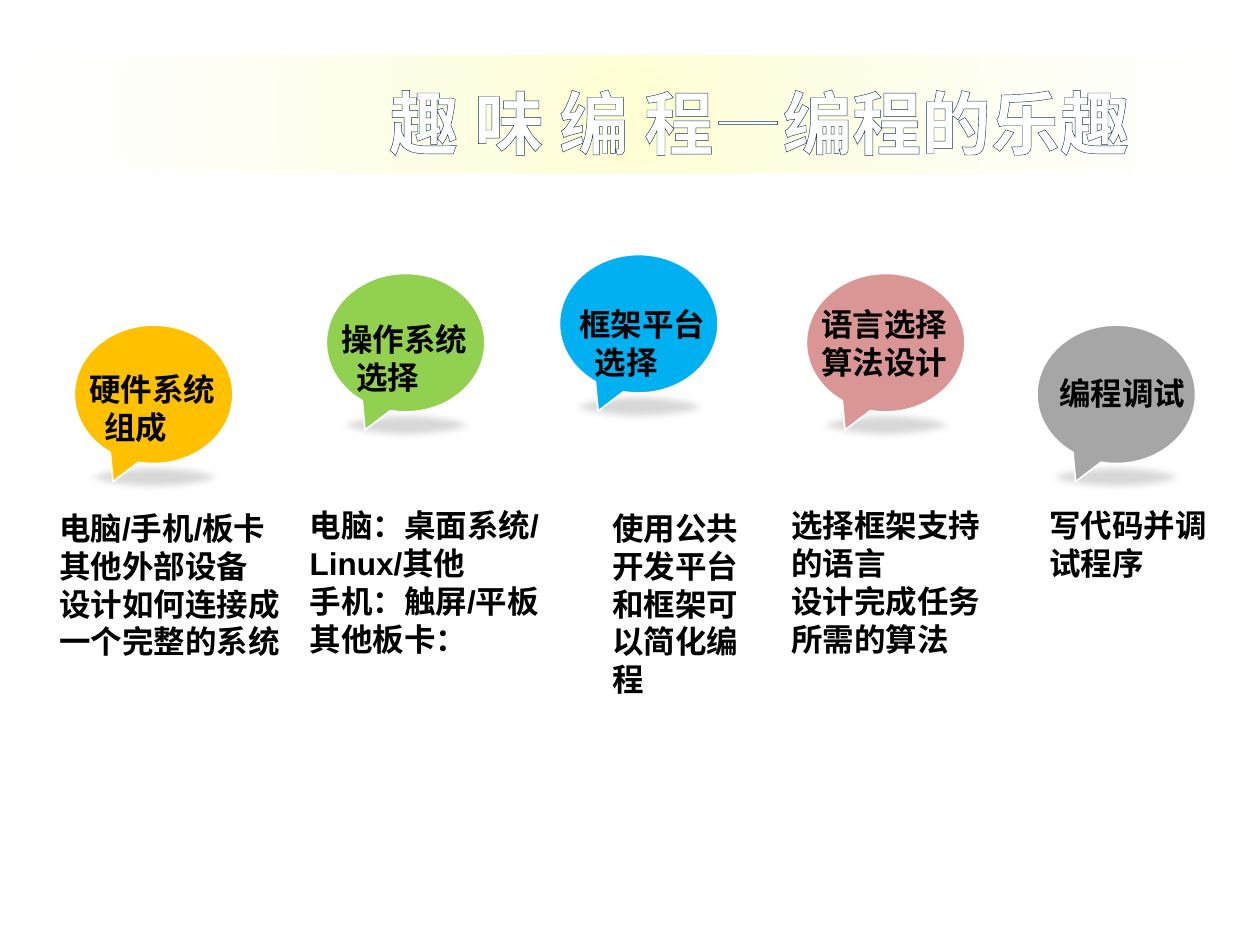
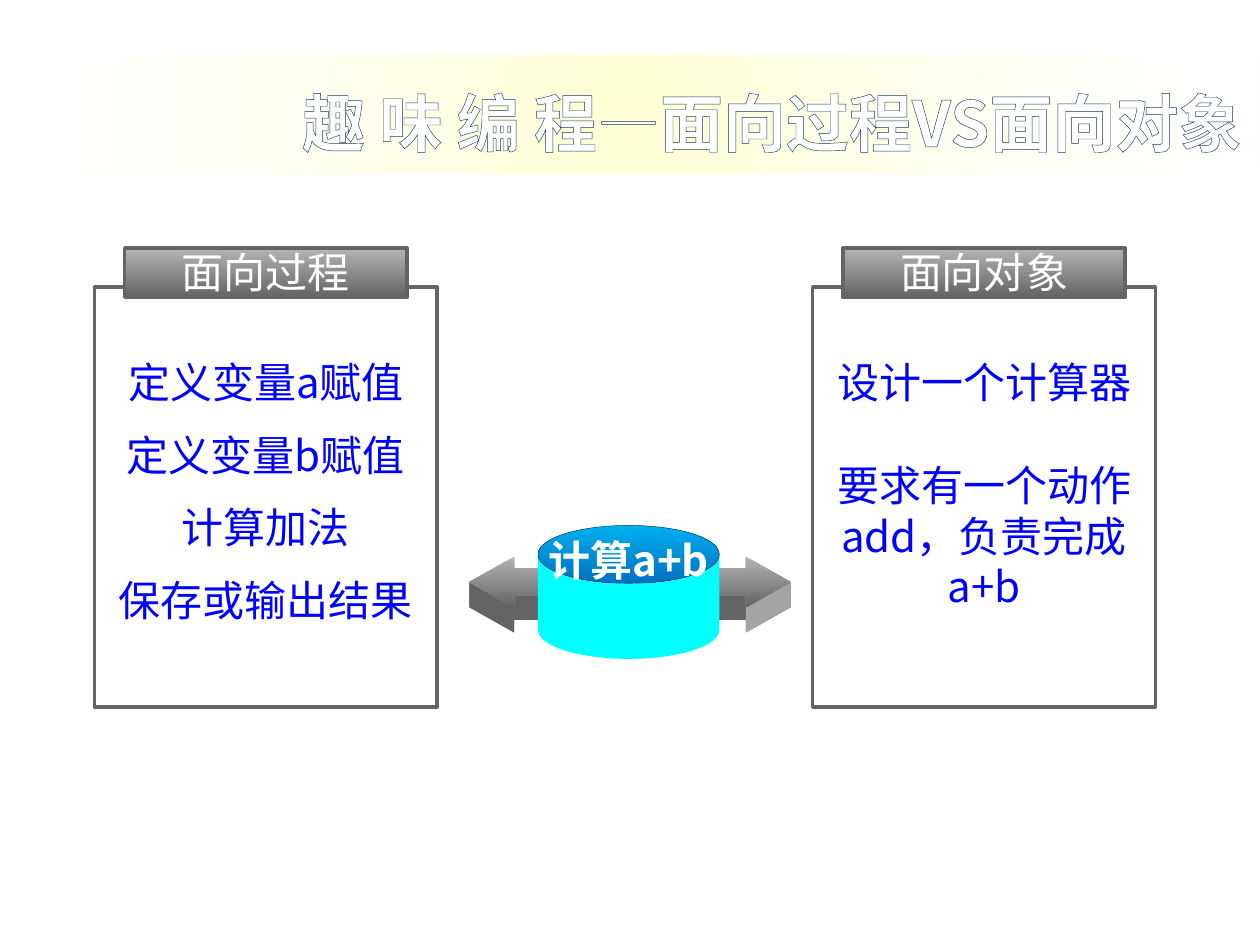
from dataclasses import dataclass

from lxml.etree import SubElement as Sub
from pptx import Presentation
from pptx.dml.color import RGBColor as Rgb
from pptx.enum.shapes import MSO_SHAPE as Kind
from pptx.enum.text import MSO_ANCHOR as Anchor, PP_ALIGN as Align
from pptx.oxml.ns import qn
from pptx.util import Inches, Pt


@dataclass(frozen=True)
class Theme:
    """Colours, fonts and type sizes of the deck."""
    white: str = "FFFFFF"
    ink: str = "000000"
    edge: str = "17375E"
    blue: str = "0000FF"
    dark: str = "646464"
    light: str = "A4A4A4"
    shade: str = "D9D9D9"
    cyan: str = "00FFFF"
    steel: tuple = (("B4B4B4", 100), ("646464", 100))
    sky: tuple = (("00B0F0", 100), ("0070C0", 100))
    glow: tuple = (("FFFFCC", 86), ("FFFFFF", 37))
    latin: str = "Arial"
    cjk: str = "Noto Sans CJK SC"
    body: float = 18
    lead: float = 24


T = Theme()
COLS, ROWS = 100, 75
CELL = Inches(0.1)


def emu(*cells):
    """Turn grid cells into lengths."""
    return [round(c * CELL) for c in cells]


def add(parent, tag, **attrs):
    """Append a drawing element."""
    return Sub(parent, qn("a:" + tag), {k: str(v) for k, v in attrs.items()})


def blend(shape, stops, round_=False):
    """Fill a shape with a vertical or circular gradient."""
    shape.fill.background()
    props = shape.fill._xPr
    grad = add(props, "gradFill", rotWithShape=1)
    props.replace(props.find(qn("a:noFill")), grad)
    marks = add(grad, "gsLst")
    for pos, (color, solid) in zip((0, 100000), stops):
        tone = add(add(marks, "gs", pos=pos), "srgbClr", val=color)
        if solid < 100:
            add(tone, "alpha", val=solid * 1000)
    if round_:
        way = add(grad, "path", path="circle")
        add(way, "fillToRect", l=50000, t=50000, r=50000, b=50000)
    else:
        add(grad, "lin", ang=5400000, scaled=0)


def paint(shape, fill=None, line=None, width=1, round_=False):
    """Set the fill and line of a shape without a shadow."""
    shape.shadow.inherit = False
    if line:
        shape.line.color.rgb = Rgb.from_string(line)
        shape.line.width = Pt(width)
    else:
        shape.line.fill.background()
    if isinstance(fill, tuple):
        blend(shape, fill, round_)
    elif fill:
        shape.fill.solid()
        shape.fill.fore_color.rgb = Rgb.from_string(fill)
    else:
        shape.fill.background()
    return shape


def draw(slide, kind, box, adj=(), **look):
    """Draw a preset shape in a box of cells."""
    shape = slide.shapes.add_shape(kind, *emu(*box))
    for i, value in enumerate(adj):
        shape.adjustments[i] = value
    return paint(shape, **look)


def trace(slide, points, **look):
    """Draw a closed outline through points in cells."""
    first, *rest = [emu(*p) for p in points]
    pen = slide.shapes.build_freeform(*first, scale=1.0)
    pen.add_line_segments(rest, close=True)
    return paint(pen.convert_to_shape(), **look)


def write(slide, box, text, size=T.body, color=T.ink, font=T.cjk, bold=False,
          align=Align.LEFT, wrap=True, anchor=Anchor.TOP, pad=1, shift=0,
          edge=None):
    """Write lines of text; later lines may shift right."""
    frame = slide.shapes.add_textbox(*emu(*box)).text_frame
    frame.word_wrap = wrap
    frame.vertical_anchor = anchor
    frame.margin_left = frame.margin_right = emu(pad)[0]
    for i, line in enumerate(text.split("\n")):
        para = frame.add_paragraph() if i else frame.paragraphs[0]
        para.alignment = align
        if i and shift:
            para._p.get_or_add_pPr().set("marL", str(emu(shift)[0]))
        run = para.add_run()
        run.text = line
        props = run._r.get_or_add_rPr()
        if edge:
            ring = add(props, "ln", w=Pt(1))
            add(add(ring, "solidFill"), "srgbClr", val=edge)
        run.font.size = Pt(size)
        run.font.bold = bold
        run.font.color.rgb = Rgb.from_string(color)
        run.font.name = font
        add(props, "ea", typeface=T.cjk)


def head(slide, text, left, width, size):
    """Draw the title band with its outlined title."""
    draw(slide, Kind.RECTANGLE, (0, 4.4, COLS, 9.4), fill=T.glow, round_=True)
    write(slide, (left, 5.4, width, 8.5), text, size=size, color=T.white,
          bold=True, align=Align.CENTER, anchor=Anchor.MIDDLE, wrap=False,
          pad=0, edge=T.edge)


def bubble(slide, x, y, color):
    """Draw a speech bubble over its soft shade."""
    wide, high = 12.6, 11
    shade = draw(slide, Kind.OVAL, (x + 0.3, y + high - 0.2, wide - 0.6, 2.5),
                 fill=T.shade)
    add(shade.shadow._element.find(qn("a:effectLst")), "softEdge", rad=Pt(4))
    draw(slide, Kind.OVAL_CALLOUT, (x, y, wide, high), adj=(-0.256, 0.63),
         fill=color, line=T.white)


def step(slide, spot, color, label, tag, note, area, shift=1.2):
    """Place one step: bubble, label and note below."""
    look = dict(font=T.latin, bold=True)
    bubble(slide, *spot, color)
    write(slide, (*tag, 12.1, 7.1), label, wrap=False, shift=shift, **look)
    write(slide, (*area, 13.1), note, **look)


def panel(slide, box, name, lines):
    """Draw a framed panel with a tab and centred lines."""
    x, y, w, h = box
    look = dict(size=T.lead, align=Align.CENTER)
    draw(slide, Kind.RECTANGLE, box, line=T.dark, width=2)
    draw(slide, Kind.RECTANGLE, (x + 2.4, y - 3.1, w - 4.8, 3.9),
         fill=T.steel, line=T.dark, width=2)
    write(slide, (x + 3.8, y - 3.7, w - 7.6, 5), name, color=T.white, **look)
    for top, line in lines:
        write(slide, (x + 0.55, y + top, w - 1.1, 5), line, color=T.blue,
              **look)


def arrow(slide, root, y, way, kind, tone):
    """Draw a thick arrow from its root; way is -1 or 1."""
    tip, neck, deep = 5.75, 2.2, 2
    rim = [(0, 1), (neck, 1), (neck, 0), (tip, 2), (tip, 2 + deep),
           (neck, 4 + deep), (neck, 3 + deep), (0, 3 + deep)]
    side = [(neck, 4), (tip, 2), (tip, 2 + deep), (neck, 4 + deep)]
    for shape, color in ((rim, T.dark), (side, tone)):
        trace(slide, [(root + way * a, y + b) for a, b in shape], fill=color)
    draw(slide, kind, (min(root, root + way * tip), y, tip, 4),
         adj=(0.53, (tip - neck) / 4), fill=T.steel)


def hub(slide, box, text):
    """Draw the drum between two arrows."""
    x, y, w, h = box
    arrow(slide, x + 0.3, y + 2.5, -1, Kind.LEFT_ARROW, T.dark)
    arrow(slide, x + w - 0.1, y + 2.5, 1, Kind.RIGHT_ARROW, T.light)
    draw(slide, Kind.CAN, box, adj=(4.6 / h,), fill=T.cyan)
    draw(slide, Kind.OVAL, (x, y, w, 4.6), fill=T.sky, line=T.edge, width=0.25)
    write(slide, (x - 4, y + 0.2, w + 8, 5), text, size=T.lead, color=T.white,
          bold=True, align=Align.CENTER)


def steps(slide):
    """Build the slide of five programming steps."""
    step(slide, (5.9, 25.8), "FFC000", "硬件系统\n组成", (6.1, 28.9),
         "电脑/手机/板卡\n其他外部设备\n设计如何连接成一个完整的系统",
         (3.7, 39.9, 19.9))
    step(slide, (25.9, 21.7), "92D050", "操作系统\n选择", (26.1, 24.9),
         "电脑：桌面系统/Linux/其他\n手机：触屏/平板\n其他板卡：",
         (23.6, 39.7, 26.3))
    step(slide, (44.4, 20.2), "00B0F0", "框架平台\n选择", (45, 23.7),
         "使用公共开发平台和框架可以简化编程", (47.6, 39.9, 12.1))
    step(slide, (64, 21.7), "D99694", "语言选择\n算法设计", (64.2, 23.7),
         "选择框架支持的语言\n设计完成任务所需的算法",
         (61.8, 39.7, 17.3), shift=0)
    step(slide, (82.3, 25.8), "A6A6A6", "编程调试", (83.1, 29.2),
         "写代码并调试程序", (82.3, 39.7, 15.7))
    head(slide, "趣 味 编 程—编程的乐趣", 27.2, 66.1, 39.6)


def versus(slide):
    """Build the slide comparing two styles."""
    head(slide, "趣 味 编 程—面向过程VS面向对象", 22.5, 77.5, 36)
    hub(slide, (42.7, 41.7, 14.4, 10.6), "计算a+b")
    tasks = "定义变量a赋值", "定义变量b赋值", "计算加法", "保存或输出结果"
    panel(slide, (7.5, 22.8, 27.2, 33.3), "面向过程",
          [(5 + 5.77 * i, task) for i, task in enumerate(tasks)])
    panel(slide, (64.5, 22.8, 27.2, 33.3), "面向对象",
          [(5, "设计一个计算器"), (13.2, "要求有一个动作add，负责完成a+b")])


def main():
    """Build and save the deck."""
    deck = Presentation()
    deck.slide_width, deck.slide_height = emu(COLS, ROWS)
    for build in (steps, versus):
        build(deck.slides.add_slide(deck.slide_layouts[6]))
    deck.save("out.pptx")


if __name__ == "__main__":
    main()
